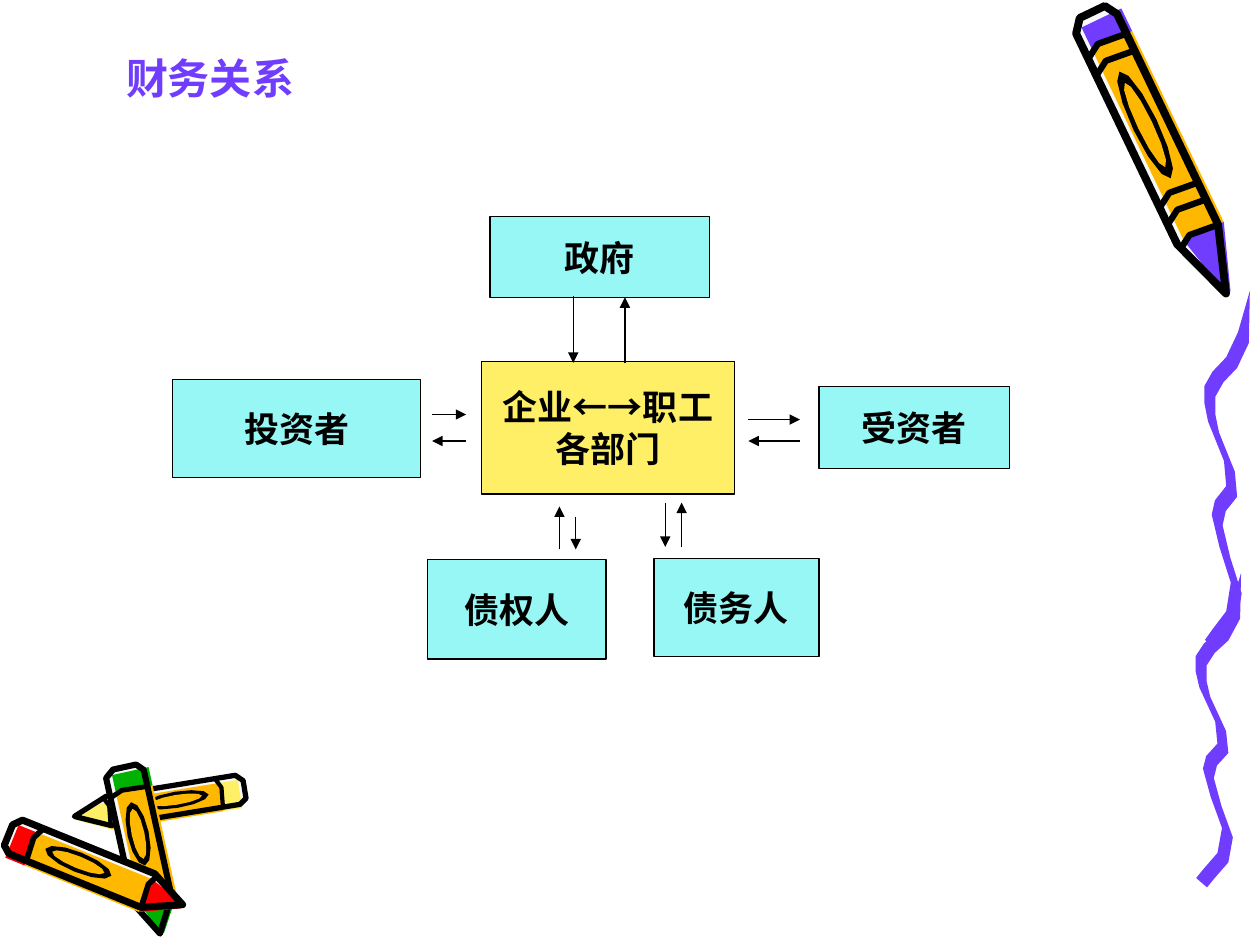
import math

import lxml.etree
import pptx
import pptx.dml.color
import pptx.enum.shapes
import pptx.enum.text
import pptx.oxml.ns
import pptx.util

COLS, ROWS = 1000, 750
UNIT = pptx.util.Inches(10) // COLS
HUES = {
    "ink": "000000", "grape": "703DFF", "gold": "FFB800", "snow": "F8F8F8",
    "lemon": "FFEF66", "red": "FF0000", "green": "00B200", "aqua": "97F7F5",
}
SERIF, ROUND, HAN = "Times New Roman", "Comic Neue", "Noto Sans CJK SC"

CARDS = [
    ("lemon", (382, 287, 201, 105), ["企业|←→职工", "各部门"]),
    ("aqua", (389, 172, 174, 64), ["政府"]),
    ("aqua", (339, 444, 142, 79), ["债权人"]),
    ("aqua", (519, 443, 131, 78), ["债务人"]),
    ("aqua", (137, 301, 197, 78), ["投资者"]),
    ("aqua", (650, 307, 151, 65), ["受资者"]),
]
PAIRS = {
    "investor": [(343, 329, 370, 329), (370, 350, 343, 350)],
    "lender": [(457, 410, 457, 436), (444, 436, 444, 402)],
    "debtor": [(541, 434, 541, 399), (528, 399, 528, 434)],
    "payee": [(594, 333, 635, 333), (635, 350, 594, 350)],
    "state": [(496, 288, 496, 236), (455, 235, 455, 288)],
}

FEW, MANY = (0.14, 0.8), (0.11, 0.17, 0.64, 0.7, 0.79)
CRAYONS = [
    dict(end=(866, 10), tip=(973, 233), half=20, color="grape", rings=MANY, pen=4.5),
    dict(end=(194, 626), tip=(59, 648), half=13, color="lemon", rings=FEW, pen=3),
    dict(end=(98, 609), tip=(127, 741), half=17, color="green", rings=FEW, pen=3.5),
    dict(end=(7, 662), tip=(145, 718), half=-16, color="red", rings=FEW, pen=4),
]

TRAIL = [
    (1, 0), (0.86, 0.13), (0.6, 0.2), (0.3, 0.24), (0.12, 0.28), (0.12, 0.33), (0.2, 0.38),
    (0.55, 0.49), (0.6, 0.56), (0.35, 0.6), (0.28, 0.64), (0.45, 0.73), (0.7, 0.83),
    (0.6, 0.91), (0.3, 0.96), (0.13, 0.99),
]
TRAIL_BOXES = [(949, 455, 36, 248), (956, 231, 36, 284)]
NIB = (0.12, 0.015)


def hue(name):
    return pptx.dml.color.RGBColor.from_string(HUES[name])


def grid(*cells):
    return [round(cell * UNIT) for cell in cells]


def style(shape, fill=None, pen=0):
    shape.shadow.inherit = False
    if fill:
        shape.fill.solid()
        shape.fill.fore_color.rgb = hue(fill)
    else:
        shape.fill.background()
    if pen:
        shape.line.color.rgb = hue("ink")
        shape.line.width = pptx.util.Pt(pen)
    else:
        shape.line.fill.background()


def write(frame, lines, size=20, color="ink", fonts=(SERIF, HAN), align="CENTER"):
    frame.word_wrap = True
    frame.auto_size = pptx.enum.text.MSO_AUTO_SIZE.NONE
    frame.vertical_anchor = pptx.enum.text.MSO_ANCHOR.MIDDLE
    for row, line in enumerate(lines):
        para = frame.add_paragraph() if row else frame.paragraphs[0]
        para.alignment = getattr(pptx.enum.text.PP_ALIGN, align)
        for part, face in zip(line.split("|"), fonts):
            run = para.add_run()
            run.text = part
            run.font.name, run.font.size = face, pptx.util.Pt(size)
            run.font.bold, run.font.color.rgb = True, hue(color)
            east = lxml.etree.SubElement(run.font._element, pptx.oxml.ns.qn("a:ea"))
            east.set("typeface", HAN)


def trace(shapes, points, fill=None, pen=0, close=True):
    start, *rest = [grid(*point) for point in points]
    path = shapes.build_freeform(*start)
    path.add_line_segments(rest, close=close)
    style(path.convert_to_shape(), fill, pen)


def oval(mid, long, wide, steps=12):
    turns = [2 * math.pi * step / steps for step in range(steps)]
    return [(mid + long * math.cos(turn), wide * math.sin(turn)) for turn in turns]


def crayon(slide, end, tip, half, color, rings, pen):
    group = slide.shapes.add_group_shape()
    run, drop = tip[0] - end[0], tip[1] - end[1]
    size = math.hypot(run, drop)

    def place(along, across):
        side = across * half / size
        return end[0] + along * run + side * drop, end[1] + along * drop - side * run

    def part(points, **look):
        trace(group.shapes, [place(*point) for point in points], **look)

    neck, cap = rings[-1], rings[0]
    rim = [(0.04, -0.9), (0, -0.5), (0, 0.6), (0.04, 0.9), (neck, 0.9), (1, 0), (neck, -0.9)]
    part(rim, fill="snow")
    part([(cap, -0.6), (cap, 1.15), (neck, 1.15), (neck, -0.6)], fill="gold")
    part([(0.03, -0.6), (0.03, 1.15), (cap, 1.15), (cap, -0.6)], fill=color)
    part([(neck, -0.6), (neck, 1.15), (1, 0.2), (1, 0)], fill=color)
    part(rim, pen=pen)
    for ring in rings:
        bend = [(ring + 0.02, -0.9), (ring - 0.01, -0.3), (ring, 0.9)]
        part(bend, pen=pen * 0.8, close=False)
    part(oval(0.4, 0.19, 0.5), fill="ink")
    part(oval(0.4, 0.15, 0.3), fill="gold")


def trail(slide, left, top, width, height):
    group = slide.shapes.add_group_shape()

    def edge(sign):
        return [
            (left + width * (across + sign * NIB[0]), top + height * (down + sign * NIB[1]))
            for across, down in TRAIL[1:]
        ]

    peak = (left + width * TRAIL[0][0], top + height * TRAIL[0][1])
    trace(group.shapes, [peak] + edge(1) + edge(-1)[::-1], fill="grape")


def card(slide, color, box, lines):
    shape = slide.shapes.add_shape(pptx.enum.shapes.MSO_SHAPE.RECTANGLE, *grid(*box))
    style(shape, color, 0.75)
    write(shape.text_frame, lines)


def arrow(shapes, ends):
    line = shapes.add_connector(pptx.enum.shapes.MSO_CONNECTOR.STRAIGHT, *grid(*ends))
    line.line.color.rgb = hue("ink")
    line.line.width = pptx.util.Pt(0.75)
    props = line._element.spPr
    edge = props.find(pptx.oxml.ns.qn("a:ln"))
    lxml.etree.SubElement(edge, pptx.oxml.ns.qn("a:tailEnd")).set("type", "triangle")
    lxml.etree.SubElement(props, pptx.oxml.ns.qn("a:effectLst"))


def main():
    deck = pptx.Presentation()
    deck.slide_width, deck.slide_height = grid(COLS, ROWS)
    slide = deck.slides.add_slide(deck.slide_layouts[5])
    for look in CRAYONS:
        crayon(slide, **look)
    for box in TRAIL_BOXES:
        trail(slide, *box)
    for item in CARDS:
        card(slide, *item)
    for pair in PAIRS.values():
        group = slide.shapes.add_group_shape()
        for ends in pair:
            arrow(group.shapes, ends)
    title = slide.shapes.title
    title.left, title.top, title.width, title.height = grid(90, 37, 192, 50)
    write(title.text_frame, ["财务关系"], size=24, color="grape", fonts=(ROUND,), align="LEFT")
    deck.save("out.pptx")


if __name__ == "__main__":
    main()
